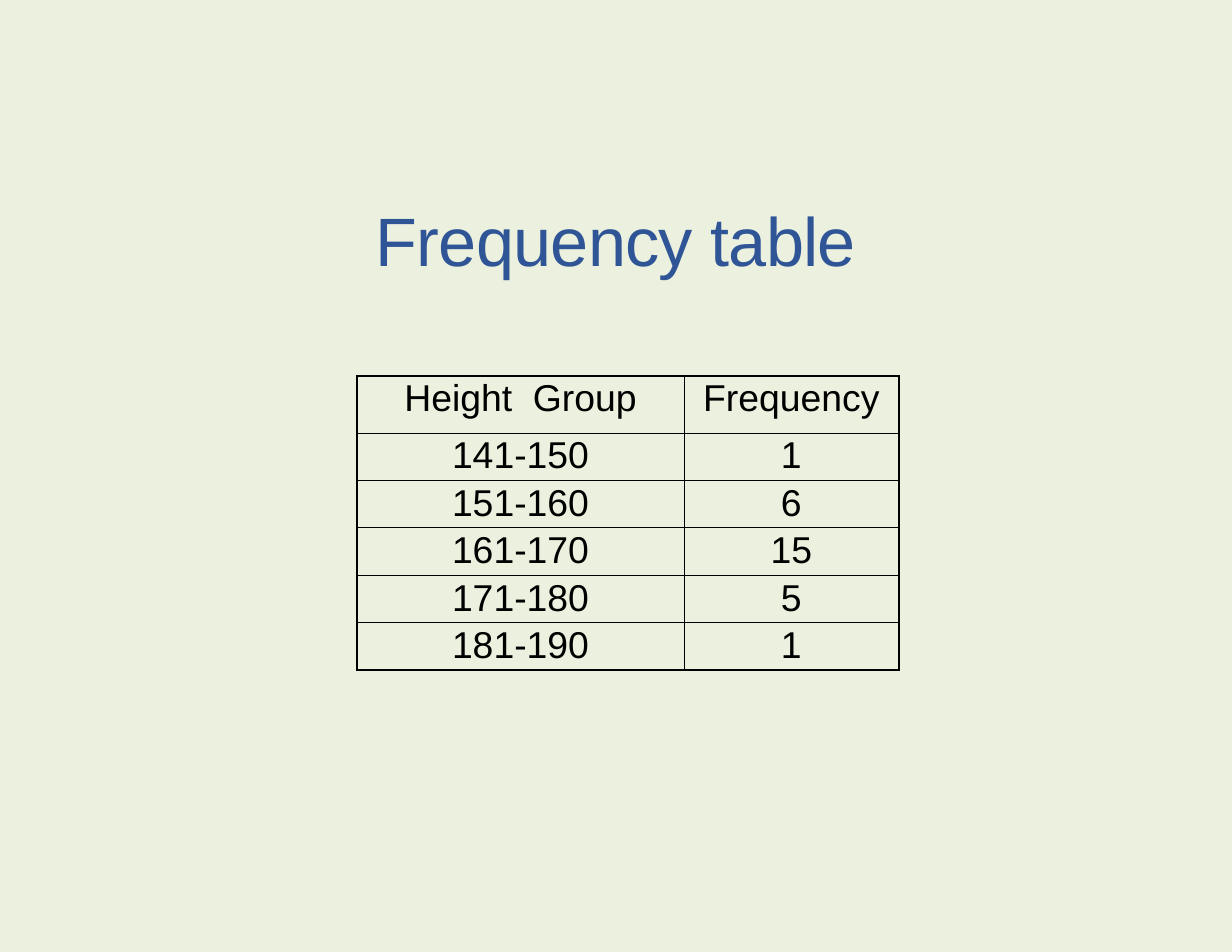
from lxml.etree import SubElement as Sub
from pptx import Presentation
from pptx.dml.color import RGBColor
from pptx.enum.text import MSO_ANCHOR as Anchor, MSO_AUTO_SIZE as Fit, PP_ALIGN as Align
from pptx.oxml.ns import qn
from pptx.util import Pt

ROWS = [
    ("Height  Group", "Frequency"),
    ("141-150", "1"),
    ("151-160", "6"),
    ("161-170", "15"),
    ("171-180", "5"),
    ("181-190", "1"),
]
WIDTHS = (210.24, 138)
HEAD, ROW = 36.6, 30.5
THICK, THIN = 1.5, 0.5


def color(code):
    return RGBColor.from_string(code)


def style(para, size, code, before):
    para.alignment = Align.CENTER
    para.space_before = Pt(before)
    for run in para.runs:
        run.font.name = "Arial"
        run.font.size = Pt(size)
        run.font.color.rgb = color(code)


def inset(box, top):
    box.margin_left = box.margin_right = box.margin_bottom = 0
    box.margin_top = Pt(top)
    box.vertical_anchor = Anchor.TOP


def border(cell, side, width, code="000000"):
    line = Sub(cell._tc.get_or_add_tcPr(), qn("a:ln" + side), w=str(Pt(width)))
    Sub(Sub(line, qn("a:solidFill")), qn("a:srgbClr"), val=code)


def add_title(slide, text):
    title = slide.shapes.title
    title.left, title.top = Pt(213), Pt(126)
    title.width, title.height = Pt(366), Pt(54.72)
    frame = title.text_frame
    frame.text = text
    frame.auto_size = Fit.NONE
    inset(frame, 1.4)
    para = frame.paragraphs[0]
    style(para, 44, "2F5597", 1.4)
    para.line_spacing = 1.0
    para.runs[0].font._element.set("spc", "-50")


def add_grid(slide):
    """Draw the table with a thick frame and thin inner lines."""
    high = HEAD + ROW * (len(ROWS) - 1)
    grid = slide.shapes.add_table(
        len(ROWS), len(WIDTHS), Pt(229.5), Pt(241.75), Pt(sum(WIDTHS)), Pt(high)
    ).table
    grid.first_row = grid.horz_banding = False
    for col, width in zip(grid.columns, WIDTHS):
        col.width = Pt(width)
    last, end = len(ROWS) - 1, len(WIDTHS) - 1
    for r, row in enumerate(ROWS):
        grid.rows[r].height = Pt(ROW if r else HEAD)
        for c, text in enumerate(row):
            cell = grid.cell(r, c)
            edges = {"L": c == 0, "R": c == end, "T": r == 0, "B": r == last}
            for side, outer in edges.items():
                border(cell, side, THICK if outer else THIN)
            cell.fill.background()
            inset(cell, 1.4)
            cell.text_frame.text = text
            style(cell.text_frame.paragraphs[0], 24, "000000", 1.5)


def main():
    deck = Presentation()
    deck.slide_width, deck.slide_height = Pt(792), Pt(612)
    slide = deck.slides.add_slide(deck.slide_layouts[5])
    back = slide.background.fill
    back.solid()
    back.fore_color.rgb = color("EBF1DE")
    add_title(slide, "Frequency table")
    add_grid(slide)
    deck.save("out.pptx")


if __name__ == "__main__":
    main()
